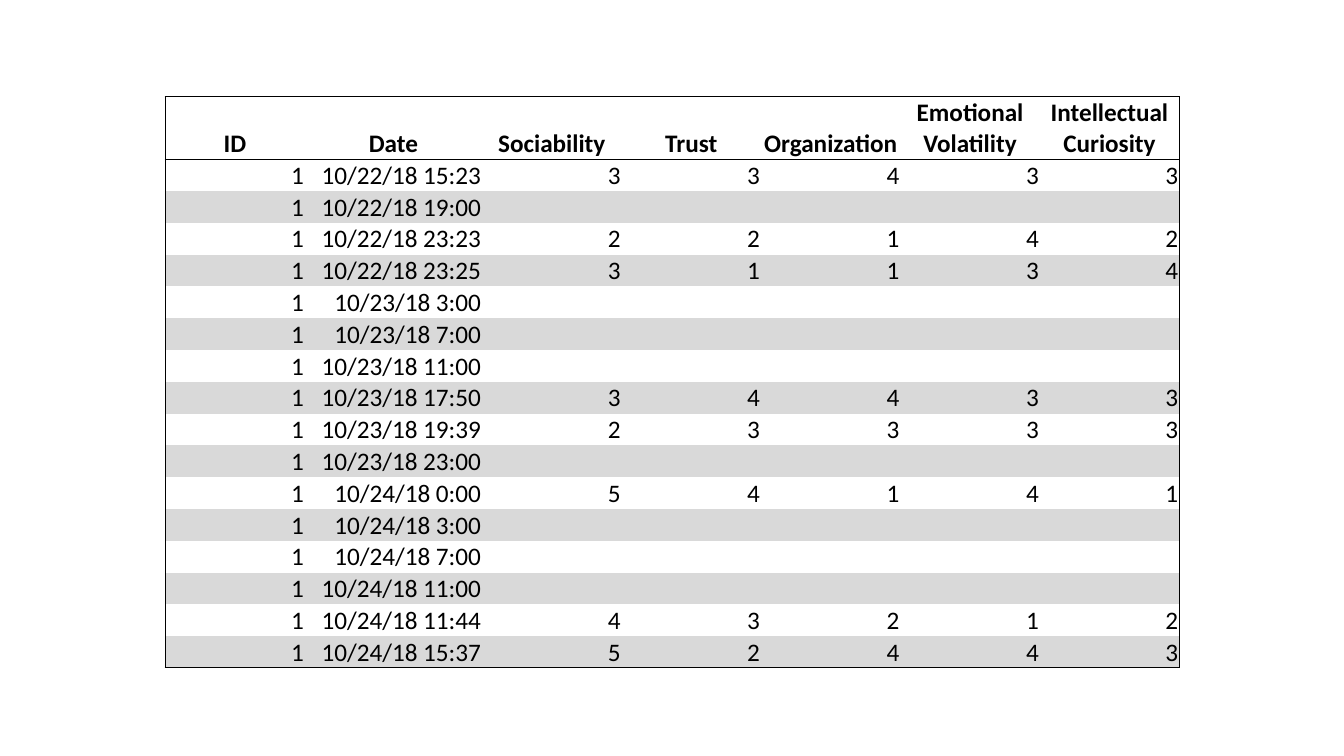
from dataclasses import dataclass

from lxml.etree import SubElement as Sub
from pptx import Presentation
from pptx.dml.color import RGBColor as Rgb
from pptx.enum.text import MSO_ANCHOR as Anchor, PP_ALIGN as Align
from pptx.oxml.ns import qn
from pptx.table import _Cell as Cell
from pptx.util import Pt

HUES = {"ink": "000000", "band": "D9D9D9"}
WIDTHS = [99.6, 126.72] + [99.6] * 5
HEAD = ["ID", "Date", "Sociability", "Trust", "Organization",
        "Emotional Volatility", "Intellectual Curiosity"]


@dataclass
class Entry:
    date: str
    marks: str = " " * 5

    def texts(self) -> list[str]:
        return ["1", self.date] + [mark.strip() for mark in self.marks]


LOG = [
    Entry("10/22/18 15:23", "33433"),
    Entry("10/22/18 19:00"),
    Entry("10/22/18 23:23", "22142"),
    Entry("10/22/18 23:25", "31134"),
    Entry("10/23/18 3:00"),
    Entry("10/23/18 7:00"),
    Entry("10/23/18 11:00"),
    Entry("10/23/18 17:50", "34433"),
    Entry("10/23/18 19:39", "23333"),
    Entry("10/23/18 23:00"),
    Entry("10/24/18 0:00", "54141"),
    Entry("10/24/18 3:00"),
    Entry("10/24/18 7:00"),
    Entry("10/24/18 11:00"),
    Entry("10/24/18 11:44", "43212"),
    Entry("10/24/18 15:37", "52443"),
]


def edge(cell: Cell, side: str, shown: bool) -> None:
    line = Sub(cell._tc.get_or_add_tcPr(), qn(f"a:ln{side}"),
               w=str(Pt(1) if shown else 0))
    if shown:
        fill = Sub(line, qn("a:solidFill"))
        Sub(fill, qn("a:srgbClr"), val=HUES["ink"])
    else:
        Sub(line, qn("a:noFill"))


def write(cell: Cell, text: str, head: bool) -> None:
    cell.vertical_anchor = Anchor.BOTTOM
    cell.margin_left = cell.margin_right = cell.margin_top = Pt(0.72)
    cell.margin_bottom = Pt(0)
    cell.text = text
    para = cell.text_frame.paragraphs[0]
    para.alignment = Align.CENTER if head else Align.RIGHT
    para.font.name = "Calibri"
    para.font.size = Pt(18)
    para.font.bold = head
    para.font.color.rgb = Rgb.from_string(HUES["ink"])


def shade(cell: Cell, band: bool) -> None:
    if band:
        cell.fill.solid()
        cell.fill.fore_color.rgb = Rgb.from_string(HUES["band"])
    else:
        cell.fill.background()


def main() -> None:
    deck = Presentation()
    deck.slide_width, deck.slide_height = Pt(960), Pt(540)
    slide = deck.slides.add_slide(deck.slide_layouts[6])
    rows = [HEAD] + [entry.texts() for entry in LOG]
    last, end = len(rows) - 1, len(HEAD) - 1
    frame = slide.shapes.add_table(len(rows), len(HEAD), Pt(118.08), Pt(69.12),
                                   Pt(sum(WIDTHS)), Pt(401.76))
    grid = frame.table
    grid.first_row = grid.horz_banding = False
    for col, width in zip(grid.columns, WIDTHS):
        col.width = Pt(width)
    for row in grid.rows:
        row.height = Pt(15.84)
    frame.height = Pt(401.76)
    for r, texts in enumerate(rows):
        for c, text in enumerate(texts):
            cell = grid.cell(r, c)
            write(cell, text, r == 0)
            edge(cell, "L", c == 0)
            edge(cell, "R", c == end)
            edge(cell, "T", r < 2)
            edge(cell, "B", r in (0, last))
            shade(cell, r > 0 and r % 2 == 0)
    deck.save("out.pptx")


if __name__ == "__main__":
    main()
